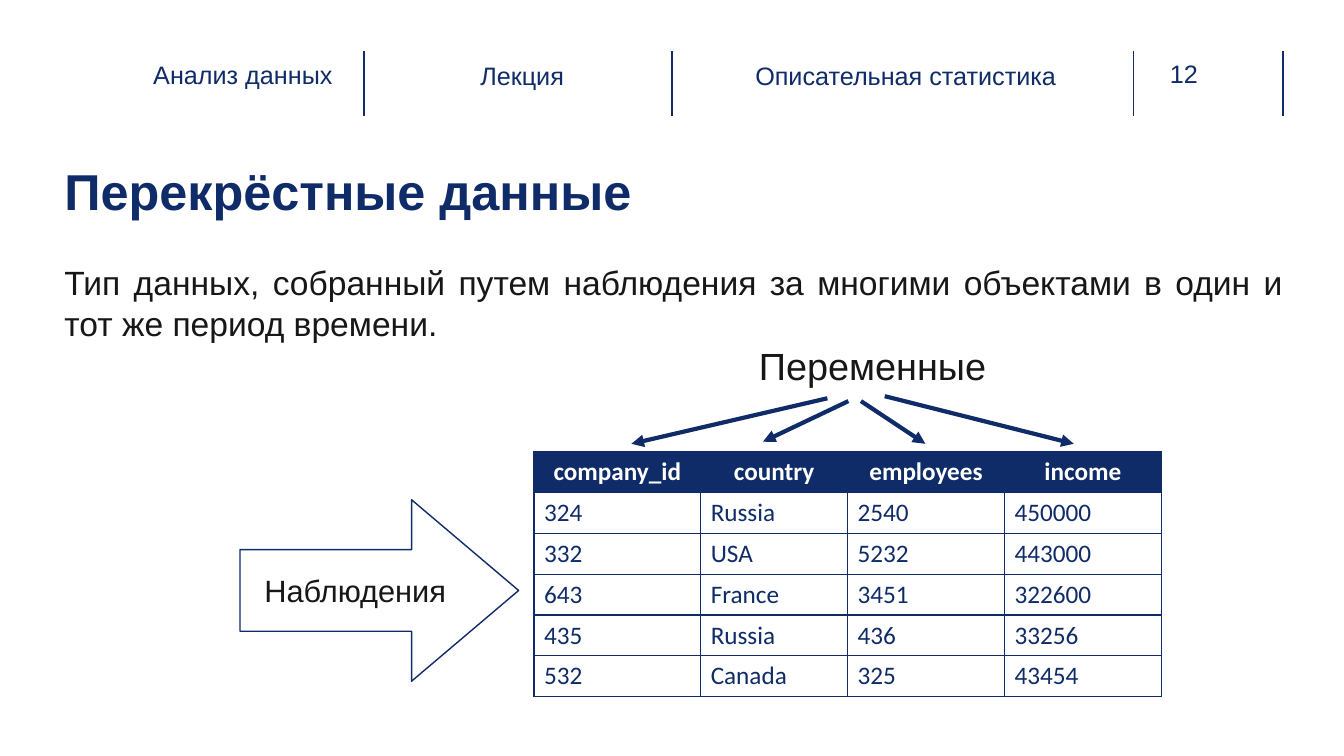
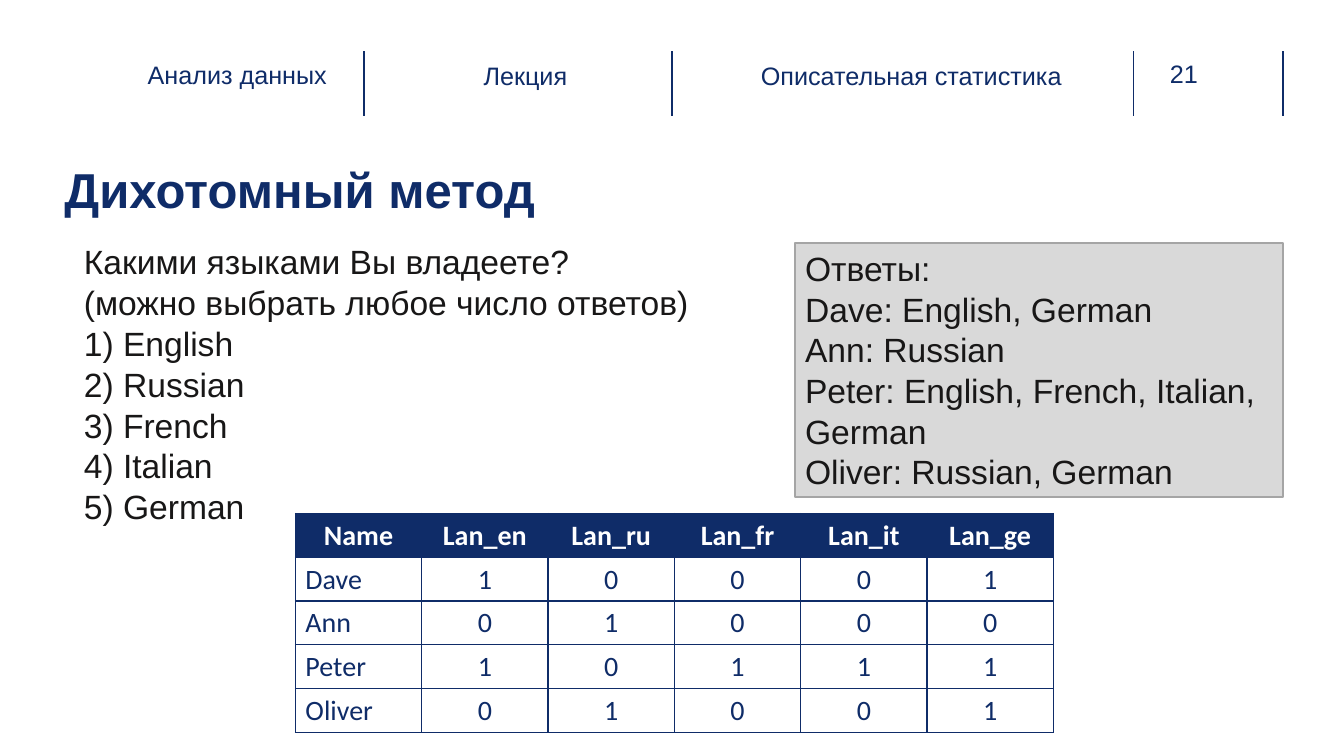
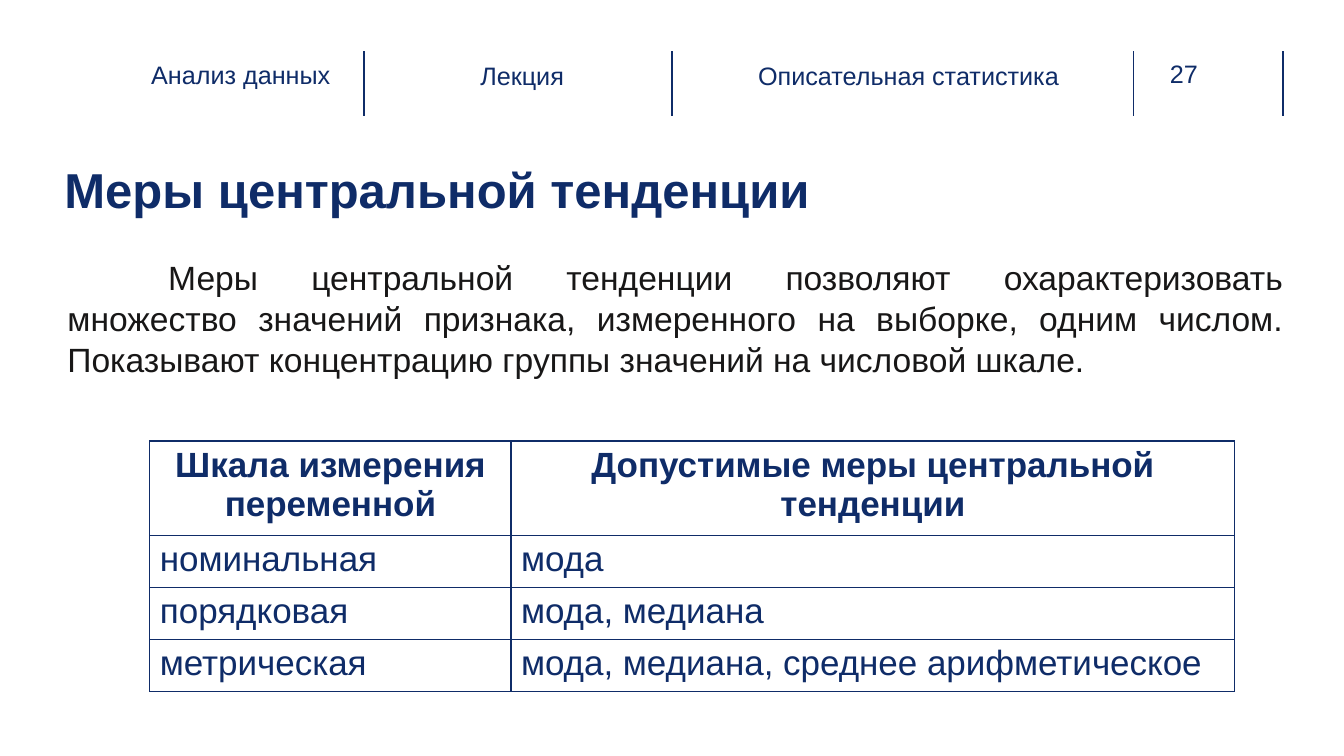
from lxml.etree import SubElement
from pptx import Presentation
from pptx.dml.color import RGBColor
from pptx.enum.shapes import MSO_CONNECTOR as Connector, MSO_SHAPE as Shape
from pptx.enum.text import MSO_ANCHOR as Anchor, PP_ALIGN as Align
from pptx.oxml.ns import qn
from pptx.util import Pt

NAVY, INK, WHITE = "0F2C68", "181717", "FFFFFF"
GREY, GREY_LINE = "D9D9D9", "A5A5A5"
LEADING = 1.21
BODY_SIZE = 24
MARGIN, CONTENT_WIDTH = 46, 870.5
HEADER_TOP, HEADER_BOTTOM = 36.7, 82.8
DIVIDERS = (260, 480, 809.5, 916.5)


def paint(target, color):
    """Give a fill, line or font a solid colour."""
    if hasattr(target, "solid"):
        target.solid()
        target = target.fore_color
    else:
        target = target.color
    target.rgb = RGBColor.from_string(color)


def style(paragraph, size, color=INK, bold=False, align=Align.LEFT, font="Arial"):
    """Set the alignment and font of a paragraph."""
    paragraph.alignment = align
    paragraph.font.name = font
    paragraph.font.size = Pt(size)
    paragraph.font.bold = bold
    paint(paragraph.font, color)


def write(frame, lines, size=BODY_SIZE, tightness=1, gap=0, **look):
    """Fill a text frame with one paragraph per line."""
    frame.word_wrap = True
    frame.text = "\n".join(lines)
    for index, paragraph in enumerate(frame.paragraphs):
        style(paragraph, size, **look)
        paragraph.line_spacing = Pt(round(size * LEADING * tightness, 1))
        paragraph.space_before = Pt(gap if index else 0)


def add_text(page, place, lines, inset=0, **look):
    """Add a text box at left, top, width, height."""
    box = page.shapes.add_textbox(*map(Pt, place))
    frame = box.text_frame
    frame.margin_left = frame.margin_right = Pt(inset)
    frame.margin_top = frame.margin_bottom = Pt(inset / 2)
    write(frame, lines, **look)
    return box


def add_panel(page, kind, place, fill, outline, lines, anchor, **look):
    """Add a filled and outlined shape with text."""
    panel = page.shapes.add_shape(kind, *map(Pt, place))
    panel.shadow.inherit = False
    paint(panel.fill, fill)
    paint(panel.line, outline) if not hasattr(panel.line, "fill") else paint(panel.line.fill, outline)
    panel.line.width = Pt(1)
    panel.text_frame.vertical_anchor = anchor
    write(panel.text_frame, lines, **look)
    return panel


def add_line(page, start, end, width=1, arrow=False):
    """Add a straight navy line, with an arrowhead at its end if asked."""
    line = page.shapes.add_connector(Connector.STRAIGHT, *map(Pt, start + end))
    paint(line.line.fill, NAVY)
    line.line.width = Pt(width)
    properties = line.element.spPr
    if arrow:
        SubElement(properties.find(qn("a:ln")), qn("a:tailEnd"), type="triangle")
    SubElement(properties, qn("a:effectLst"))


def add_borders(frame):
    """Draw a navy line around every cell of a table."""
    for cell in frame.element.iter(qn("a:tc")):
        for side in ("a:lnL", "a:lnR", "a:lnT", "a:lnB"):
            border = SubElement(cell.get_or_add_tcPr(), qn(side), w=str(Pt(1)))
            fill = SubElement(border, qn("a:solidFill"))
            SubElement(fill, qn("a:srgbClr"), val=NAVY)


def add_grid(page, corner, widths, heights, rows, size, font="Calibri",
             header_fill=NAVY, header_color=WHITE, centred_from=None):
    """Add a bordered table whose first row is a bold, centred header."""
    place = corner + (sum(widths), sum(heights))
    frame = page.shapes.add_table(len(rows), len(widths), *map(Pt, place))
    table = frame.table
    table.horz_banding = False
    add_borders(frame)
    for column, width in zip(table.columns, widths):
        column.width = Pt(width)
    for row, height in zip(table.rows, heights):
        row.height = Pt(height)
    for row_index, values in enumerate(rows):
        header = row_index == 0
        for column_index, value in enumerate(values):
            cell = table.cell(row_index, column_index)
            cell.text = value
            centred = header or (centred_from is not None and column_index >= centred_from)
            style(cell.text_frame.paragraphs[0], size, header_color if header else NAVY,
                  header, Align.CENTER if centred else Align.LEFT, font)
            paint(cell.fill, header_fill if header else WHITE)


def add_page(deck, title, number, title_size=35, header_widths=(167, 202, 308)):
    """Add a slide with the shared header band and title."""
    page = deck.slides.add_slide(deck.slide_layouts[6])
    for x in DIVIDERS:
        add_line(page, (x, HEADER_TOP), (x, HEADER_BOTTOM))
    course, lecture, topic = header_widths
    labels = (
        ((90, 42.5, course, 32), "Анализ данных"),
        ((272, 43.2, lecture, 32), "Лекция"),
        ((493, 43.2, topic, 32), "Описательная статистика"),
        ((819.5, 41.8, 52.5, 21.6), number),
    )
    for place, label in labels:
        add_text(page, place, [label], size=18, color=NAVY, align=Align.CENTER)
    add_text(page, (MARGIN, 113.8, CONTENT_WIDTH, 61), [title],
             size=title_size, color=NAVY, bold=True)
    return page


def build_cross_section(deck):
    """Build the slide on cross-sectional data."""
    page = add_page(deck, "Перекрёстные данные", "12", title_size=36)
    add_text(page, (MARGIN, 187.2, CONTENT_WIDTH, 60),
             ["Тип данных, собранный путем наблюдения за многими объектами "
              "в один и тот же период времени."], align=Align.JUSTIFY)
    arrow = add_panel(page, Shape.RIGHT_ARROW, (171.5, 357, 199, 129.6), WHITE, NAVY,
                      ["Наблюдения"], Anchor.MIDDLE, size=22, align=Align.CENTER)
    arrow.adjustments[0], arrow.adjustments[1] = 0.45, 0.59
    rows = [
        ("company_id", "country", "employees", "income"),
        ("324", "Russia", "2540", "450000"),
        ("332", "USA", "5232", "443000"),
        ("643", "France", "3451", "322600"),
        ("435", "Russia", "436", "33256"),
        ("532", "Canada", "325", "43454"),
    ]
    add_grid(page, (381.5, 322.5), (119, 105, 112, 112), [29.2] * len(rows), rows, 18)
    add_text(page, (535, 241.2, 181.5, 40), ["Переменные"], inset=7.2, size=27)
    pointers = (
        ((591, 284.5), (451, 317)),
        ((606, 286.5), (545, 315.5)),
        ((615, 286.5), (661, 317)),
        ((632, 283), (767, 317)),
    )
    for start, end in pointers:
        add_line(page, start, end, width=3, arrow=True)


def build_dichotomy(deck):
    """Build the slide on the dichotomous method."""
    page = add_page(deck, "Дихотомный метод", "21", header_widths=(159, 206.5, 316))
    languages = ("English", "Russian", "French", "Italian", "German")
    question = ["Какими языками Вы владеете?", "(можно выбрать любое число ответов)"]
    options = [f"{number}) {language}" for number, language in enumerate(languages, 1)]
    add_text(page, (52.8, 174.2, 500, 210), question + options,
             inset=7.2, tightness=0.8, gap=6)
    answers = ["Ответы:", "Dave: English, German", "Ann: Russian",
               "Peter: English, French, Italian, German", "Oliver: Russian, German"]
    add_panel(page, Shape.RECTANGLE, (568, 173.5, 348.5, 181.5), GREY, GREY_LINE,
              answers, Anchor.TOP)
    rows = [
        ("Name", "Lan_en", "Lan_ru", "Lan_fr", "Lan_it", "Lan_ge"),
        ("Dave", *"10001"),
        ("Ann", *"01000"),
        ("Peter", *"10111"),
        ("Oliver", *"01001"),
    ]
    add_grid(page, (211, 366.8), [90.25] * 6, [31.25] * len(rows), rows, 20, centred_from=1)


def build_central_tendency(deck):
    """Build the slide on measures of central tendency."""
    page = add_page(deck, "Меры центральной тенденции", "27", header_widths=(164, 202, 312))
    definition = add_text(
        page, (48.2, 183.6, 868.3, 124),
        ["Меры центральной тенденции позволяют охарактеризовать множество значений "
         "признака, измеренного на выборке, одним числом. Показывают концентрацию "
         "группы значений на числовой шкале."], align=Align.JUSTIFY)
    for paragraph in definition.element.iter(qn("a:p")):
        paragraph.get_or_add_pPr().set("indent", str(Pt(72)))
    rows = [
        ("Шкала измерения переменной", "Допустимые меры центральной тенденции"),
        ("номинальная", "мода"),
        ("порядковая", "мода, медиана"),
        ("метрическая", "мода, медиана, среднее арифметическое"),
    ]
    add_grid(page, (107, 315), (258, 517), (63, 35, 35, 35), rows, 25,
             font="Arial", header_fill=WHITE, header_color=NAVY)


def main():
    """Build and save the deck."""
    deck = Presentation()
    deck.slide_width, deck.slide_height = Pt(960), Pt(540)
    build_cross_section(deck)
    build_dichotomy(deck)
    build_central_tendency(deck)
    deck.save("out.pptx")


if __name__ == "__main__":
    main()
